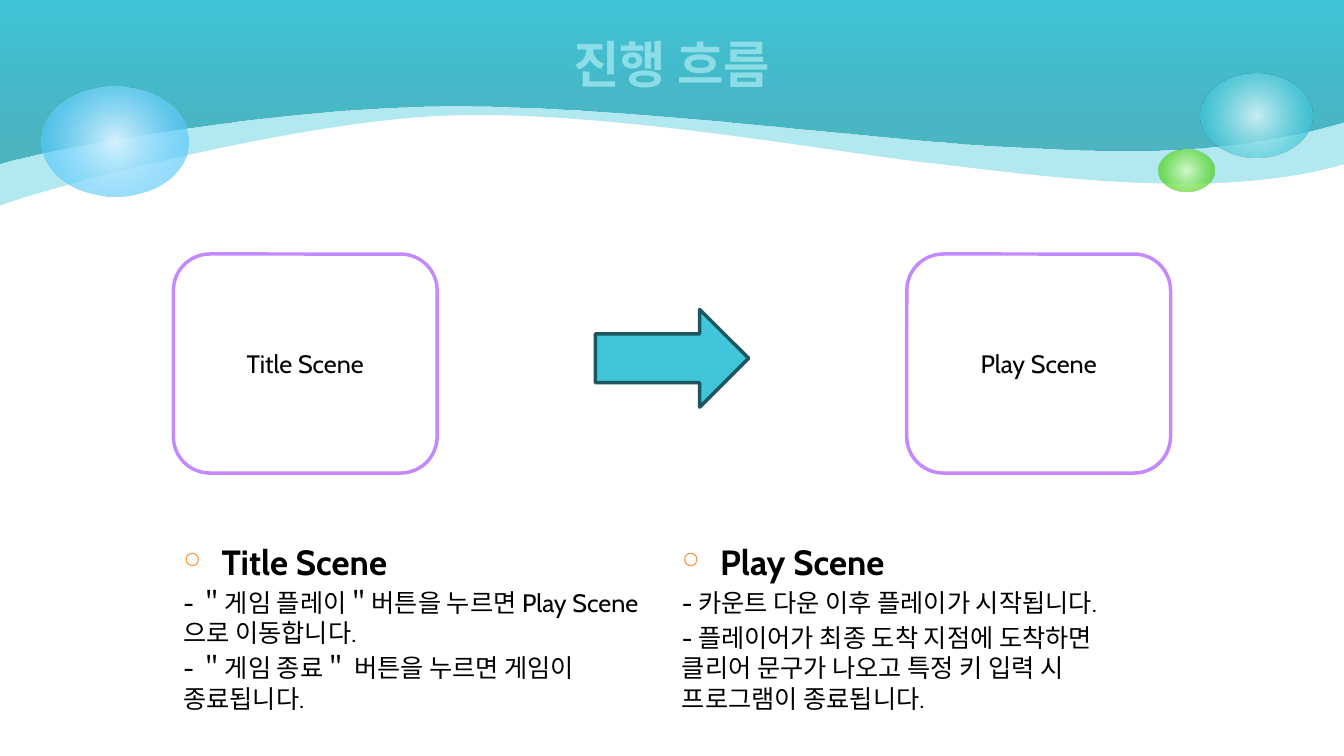
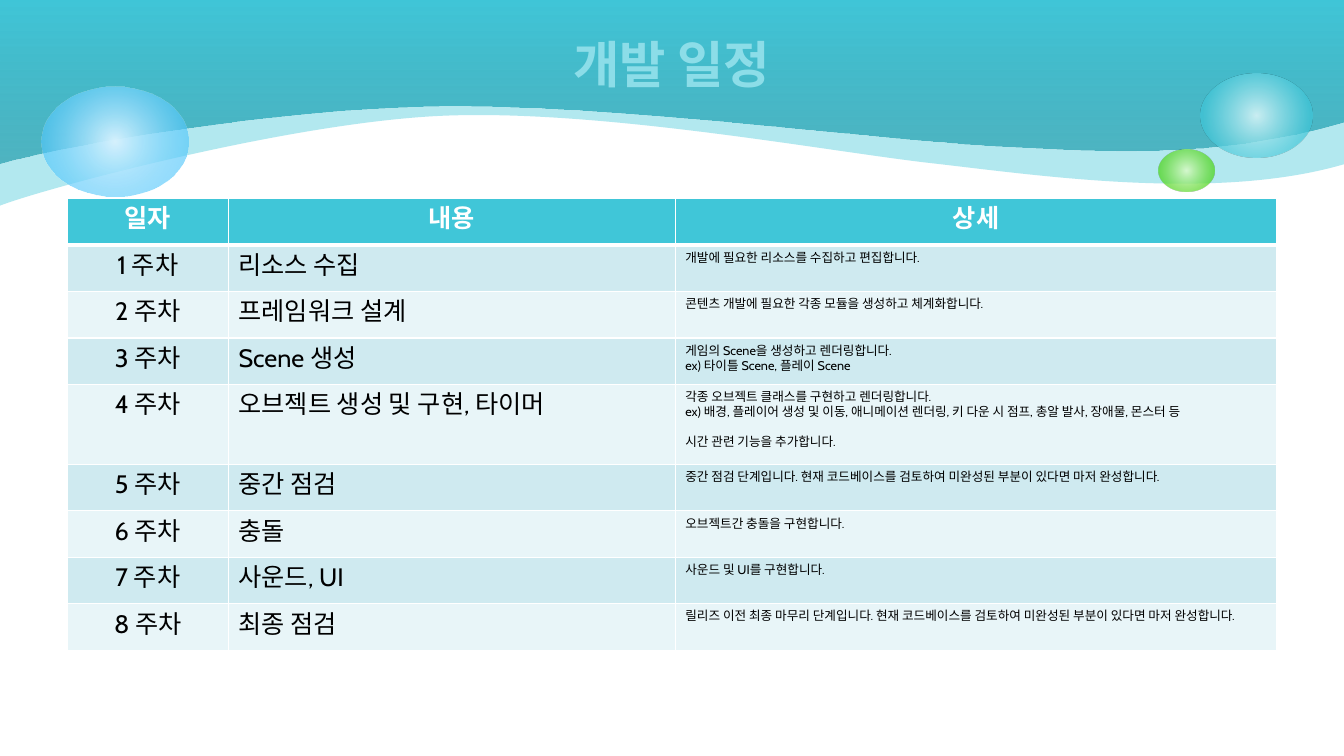
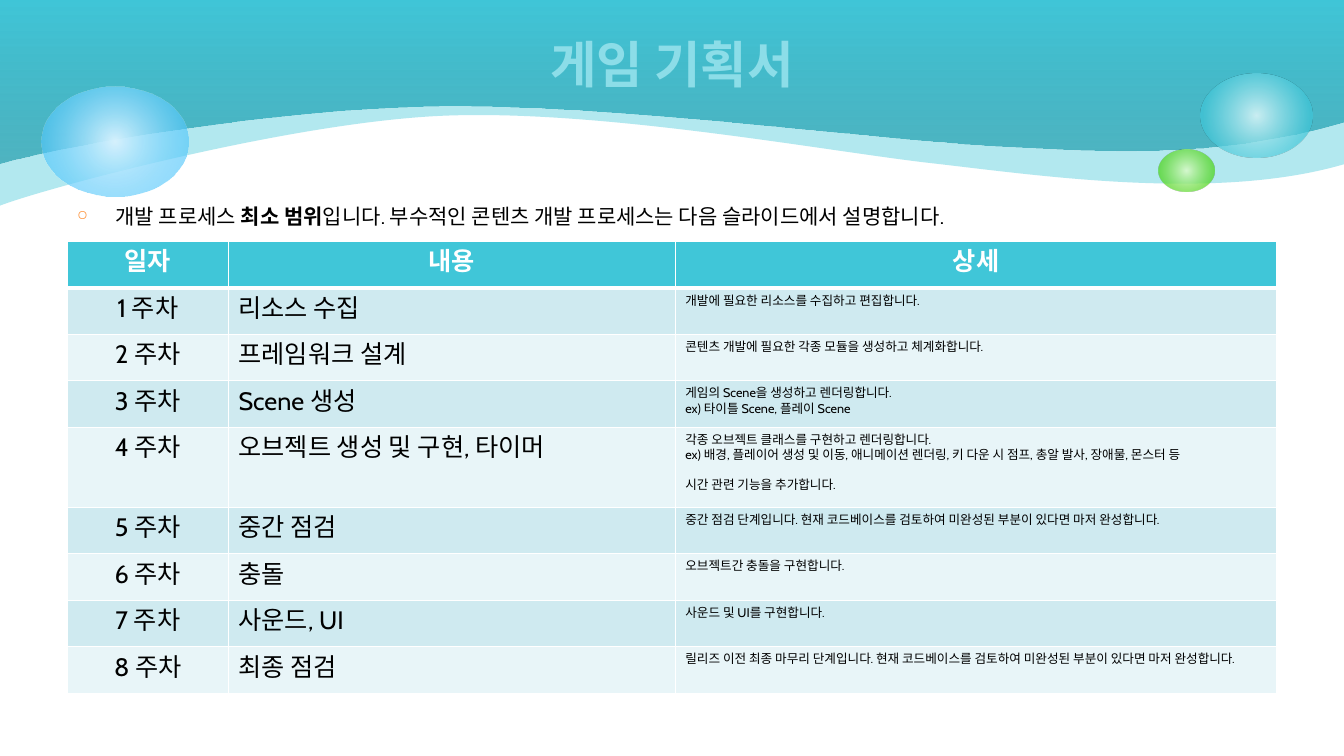
from dataclasses import dataclass
from typing import Sequence

from pptx import Presentation
from pptx.dml.color import RGBColor
from pptx.enum.shapes import MSO_SHAPE as SHAPE
from pptx.enum.text import MSO_ANCHOR as ANCHOR, PP_ALIGN as ALIGN
from pptx.oxml import parse_xml
from pptx.oxml.ns import nsdecls
from pptx.util import Inches, Pt

W, H = Inches(13.33), Inches(7.5)
FONT = "Cabin"
AQUA, WHITE, BLACK = "40C6D8", "FFFFFF", "000000"
TITLE, VIOLET, TEAL, ORANGE = "8CDDE8", "C489FF", "1C575F", "FE8C2E"
BANDS = ("E8F5F8", "CFEAF0")
MARGIN, CONTENT_W = 5, 90
TABLE_COLS = (12, 33.25, 44.75)
ROW_H, TALL_ROW_H = 6.15, 10.58
CIRCLE = '<a:path path="circle"><a:fillToRect l="50000" t="50000" r="50000" b="50000"/></a:path>'
UPWARD = '<a:lin ang="16200000" scaled="0"/>'


@dataclass
class Box:
    x: float
    y: float
    w: float
    h: float

    def emu(self) -> tuple:
        return across(self.x), down(self.y), across(self.w), down(self.h)


@dataclass
class Stop:
    pos: int
    color: str
    alpha: int = 100


@dataclass
class Bubble:
    box: Box
    stops: Sequence[Stop]


@dataclass
class Wave:
    start: tuple
    curves: Sequence[tuple]
    stops: Sequence[Stop]


@dataclass
class Para:
    text: str
    size: float = 18
    bold: bool = False
    color: str = BLACK
    align: ALIGN = ALIGN.LEFT
    before: float = 0
    bullet: bool = False
    strong: str = ""


@dataclass
class Week:
    topic: str
    details: Sequence[str]
    closing: str = ""


@dataclass
class Scene:
    name: str
    box_x: float
    text_x: float
    notes: Sequence[str]


WAVES = (
    Wave((0, 27.2),
         (((3.3, 24.93), (21.38, 16.27), (32.78, 15.33)),
          ((44.26, 14.4), (60.62, 19.73), (68.72, 21.47)),
          ((76.82, 23.07), (90.25, 26.8), (100, 21.73))),
         (Stop(0, AQUA, 40), Stop(100, AQUA, 40))),
    Wave((0, 21.6),
         (((4.5, 19.2), (20.33, 14.4), (32.63, 14)),
          ((44.86, 13.6), (65.87, 18.53), (73.74, 19.2)),
          ((81.62, 19.87), (90.25, 21.2), (100, 16.13))),
         (Stop(0, "249EAE", 69), Stop(100, AQUA))),
)
BUBBLES = (
    Bubble(Box(89.33, 9.73, 8.3, 11.07), (Stop(0, "D9F4F7", 90), Stop(76, AQUA, 70))),
    Bubble(Box(86.2, 19.73, 4.2, 5.6), (Stop(0, "DAFACD", 90), Stop(76, "4CD416", 70))),
    Bubble(Box(3.08, 11.47, 10.92, 14.53), (Stop(0, "D6F2FE"), Stop(100, "33BDFB", 54))),
)
SCENES = (
    Scene("Title Scene", 12.9, 12.9, (
        "- ＂게임 플레이＂버튼을 누르면 Play Scene으로 이동합니다.",
        "- ＂게임 종료＂ 버튼을 누르면 게임이 종료됩니다.")),
    Scene("Play Scene", 67.47, 50, (
        "- 카운트 다운 이후 플레이가 시작됩니다.",
        "- 플레이어가 최종 도착 지점에 도착하면 클리어 문구가 나오고 특정 키 입력 시 프로그램이 종료됩니다.")),
)
HEADINGS = ("일자", "내용", "상세")
WEEKS = (
    Week("리소스 수집", ("개발에 필요한 리소스를 수집하고 편집합니다.",)),
    Week("프레임워크 설계", ("콘텐츠 개발에 필요한 각종 모듈을 생성하고 체계화합니다.",)),
    Week("Scene 생성", ("게임의 Scene을 생성하고 렌더링합니다.", "ex) 타이틀 Scene, 플레이 Scene")),
    Week("오브젝트 생성 및 구현, 타이머", (
        "각종 오브젝트 클래스를 구현하고 렌더링합니다.",
        "ex) 배경, 플레이어 생성 및 이동, 애니메이션 렌더링, 키 다운 시 점프, 총알 발사, 장애물, 몬스터 등"),
        "시간 관련 기능을 추가합니다."),
    Week("중간 점검", ("중간 점검 단계입니다. 현재 코드베이스를 검토하여 미완성된 부분이 있다면 마저 완성합니다.",)),
    Week("충돌", ("오브젝트간 충돌을 구현합니다.",)),
    Week("사운드, UI", ("사운드 및 UI를 구현합니다.",)),
    Week("최종 점검", ("릴리즈 이전 최종 마무리 단계입니다. 현재 코드베이스를 검토하여 미완성된 부분이 있다면 마저 완성합니다.",)),
)


def across(share: float) -> int:
    return round(W * share / 100)


def down(share: float) -> int:
    return round(H * share / 100)


def rgb(color: str) -> RGBColor:
    return RGBColor.from_string(color)


def fill_gradient(sp, stops: Sequence[Stop], direction: str) -> None:
    sp.shadow.inherit = False
    sp.line.fill.background()
    sp.fill.background()
    marks = "".join(
        f'<a:gs pos="{s.pos * 1000}"><a:srgbClr val="{s.color}">'
        f'<a:alpha val="{s.alpha * 1000}"/></a:srgbClr></a:gs>' for s in stops)
    grad = parse_xml(f'<a:gradFill {nsdecls("a")} rotWithShape="1">'
                     f'<a:gsLst>{marks}</a:gsLst>{direction}</a:gradFill>')
    pr = sp._element.spPr
    pr.replace(pr.find("{*}noFill"), grad)


def add_bullet(p) -> None:
    pr = p._p.get_or_add_pPr()
    pr.set("marL", str(Inches(0.38)))
    pr.set("indent", str(-Inches(0.38)))
    for xml in (f'<a:buClr {nsdecls("a")}><a:srgbClr val="{ORANGE}"/></a:buClr>',
                f'<a:buSzPct {nsdecls("a")} val="65000"/>',
                f'<a:buChar {nsdecls("a")} char="○"/>'):
        pr.append(parse_xml(xml))


def set_font(r, para: Para, bold: bool) -> None:
    r.font.name = FONT
    r.font.size = Pt(para.size)
    r.font.bold = bold
    r.font.color.rgb = rgb(para.color)
    latin = r._r.get_or_add_rPr().find("{*}latin")
    latin.addnext(parse_xml(f'<a:ea {nsdecls("a")} typeface="{FONT}"/>'))


def write(tf, paras: Sequence[Para]) -> None:
    for i, para in enumerate(paras):
        p = tf.add_paragraph() if i else tf.paragraphs[0]
        head, strong, tail = para.text.partition(para.strong) if para.strong else (para.text, "", "")
        p.text = head
        for part in filter(None, (strong, tail)):
            p.add_run().text = part
        p.alignment = para.align
        p.space_before = Pt(para.before)
        if para.bullet:
            add_bullet(p)
        for r in p.runs:
            set_font(r, para, para.bold or r.text == strong)


def add_text(slide, box: Box, paras: Sequence[Para], anchor: ANCHOR = ANCHOR.TOP) -> None:
    tf = slide.shapes.add_textbox(*box.emu()).text_frame
    tf.word_wrap = True
    tf.vertical_anchor = anchor
    write(tf, paras)


def add_outlined(slide, kind: SHAPE, box: Box, fill: str, line: str):
    sp = slide.shapes.add_shape(kind, *box.emu())
    sp.shadow.inherit = False
    sp.fill.solid()
    sp.fill.fore_color.rgb = rgb(fill)
    sp.line.color.rgb = rgb(line)
    sp.line.width = Pt(2.5)
    return sp


def add_wave(slide, wave: Wave) -> None:
    corners = [wave.start, *(curve[-1] for curve in wave.curves), (100.15, 0)]
    builder = slide.shapes.build_freeform(0, 0)
    builder.add_line_segments([(across(x), down(y)) for x, y in corners], close=True)
    sp = builder.convert_to_shape()
    edges = sp._element.spPr.findall(".//{*}lnTo")[1:]
    for edge, curve in zip(edges, wave.curves):
        points = "".join(f'<a:pt x="{across(x)}" y="{down(y)}"/>' for x, y in curve)
        edge.getparent().replace(edge, parse_xml(
            f'<a:cubicBezTo {nsdecls("a")}>{points}</a:cubicBezTo>'))
    fill_gradient(sp, wave.stops, UPWARD)


def add_slide(prs, title: str):
    slide = prs.slides.add_slide(prs.slide_layouts[6])
    for wave in WAVES:
        add_wave(slide, wave)
    for bubble in BUBBLES:
        sp = slide.shapes.add_shape(SHAPE.OVAL, *bubble.box.emu())
        fill_gradient(sp, bubble.stops, CIRCLE)
    add_text(slide, Box(MARGIN, 0, CONTENT_W, 16.67),
             [Para(title, 36, True, TITLE, ALIGN.CENTER)], ANCHOR.MIDDLE)
    return slide


def fill_cell(cell, paras: Sequence[Para], fill: str, top: int, bottom: int) -> None:
    pr = cell._tc.get_or_add_tcPr()
    for side, width in (("L", 1), ("R", 1), ("T", top), ("B", bottom)):
        pr.append(parse_xml(
            f'<a:ln{side} {nsdecls("a")} w="{Pt(width)}"><a:solidFill>'
            f'<a:srgbClr val="{WHITE}"/></a:solidFill></a:ln{side}>'))
    cell.fill.solid()
    cell.fill.fore_color.rgb = rgb(fill)
    write(cell.text_frame, paras)


def add_schedule(slide, top: float) -> None:
    heights = [ROW_H] + [TALL_ROW_H if week.closing else ROW_H for week in WEEKS]
    box = Box(MARGIN, top, CONTENT_W, sum(heights))
    table = slide.shapes.add_table(len(heights), len(HEADINGS), *box.emu()).table
    for col, share in zip(table.columns, TABLE_COLS):
        col.width = across(share)
    for row, share in zip(table.rows, heights):
        row.height = down(share)
    for i, heading in enumerate(HEADINGS):
        fill_cell(table.cell(0, i), [Para(heading, 18, True, WHITE, ALIGN.CENTER)], AQUA, 1, 3)
    for n, week in enumerate(WEEKS, 1):
        details = [Para(text, 9) for text in week.details]
        if week.closing:
            details.append(Para(week.closing, 9, before=10.5))
        texts = ([Para(f"{n} 주차", align=ALIGN.CENTER)], [Para(week.topic)], details)
        for i, paras in enumerate(texts):
            fill_cell(table.cell(n, i), paras, BANDS[n % 2], 3 if n == 1 else 1, 1)


def add_flow(prs) -> None:
    slide = add_slide(prs, "진행 흐름")
    for scene in SCENES:
        sp = add_outlined(slide, SHAPE.ROUNDED_RECTANGLE,
                          Box(scene.box_x, 33.6, 19.63, 28.97), WHITE, VIOLET)
        sp.text_frame.vertical_anchor = ANCHOR.MIDDLE
        write(sp.text_frame, [Para(scene.name, align=ALIGN.CENTER)])
        add_text(slide, Box(scene.text_x, 70.8, 37.05, 23.73),
                 [Para(scene.name, 25, True, before=5, bullet=True)]
                 + [Para(note, before=3.6) for note in scene.notes])
    add_outlined(slide, SHAPE.RIGHT_ARROW, Box(44.3, 40.93, 11.4, 12.93), AQUA, TEAL)


def add_plan(prs) -> None:
    slide = add_slide(prs, "게임 기획서")
    intro = "개발 프로세스 최소 범위입니다. 부수적인 콘텐츠 개발 프로세스는 다음 슬라이드에서 설명합니다."
    add_text(slide, Box(MARGIN, 26.27, CONTENT_W, 5.6),
             [Para(intro, 15, before=3, bullet=True, strong="최소 범위")])
    add_schedule(slide, 31.93)


def main() -> None:
    prs = Presentation()
    prs.slide_width, prs.slide_height = W, H
    add_flow(prs)
    add_schedule(add_slide(prs, "개발 일정"), 26.27)
    add_plan(prs)
    prs.save("out.pptx")


if __name__ == "__main__":
    main()
